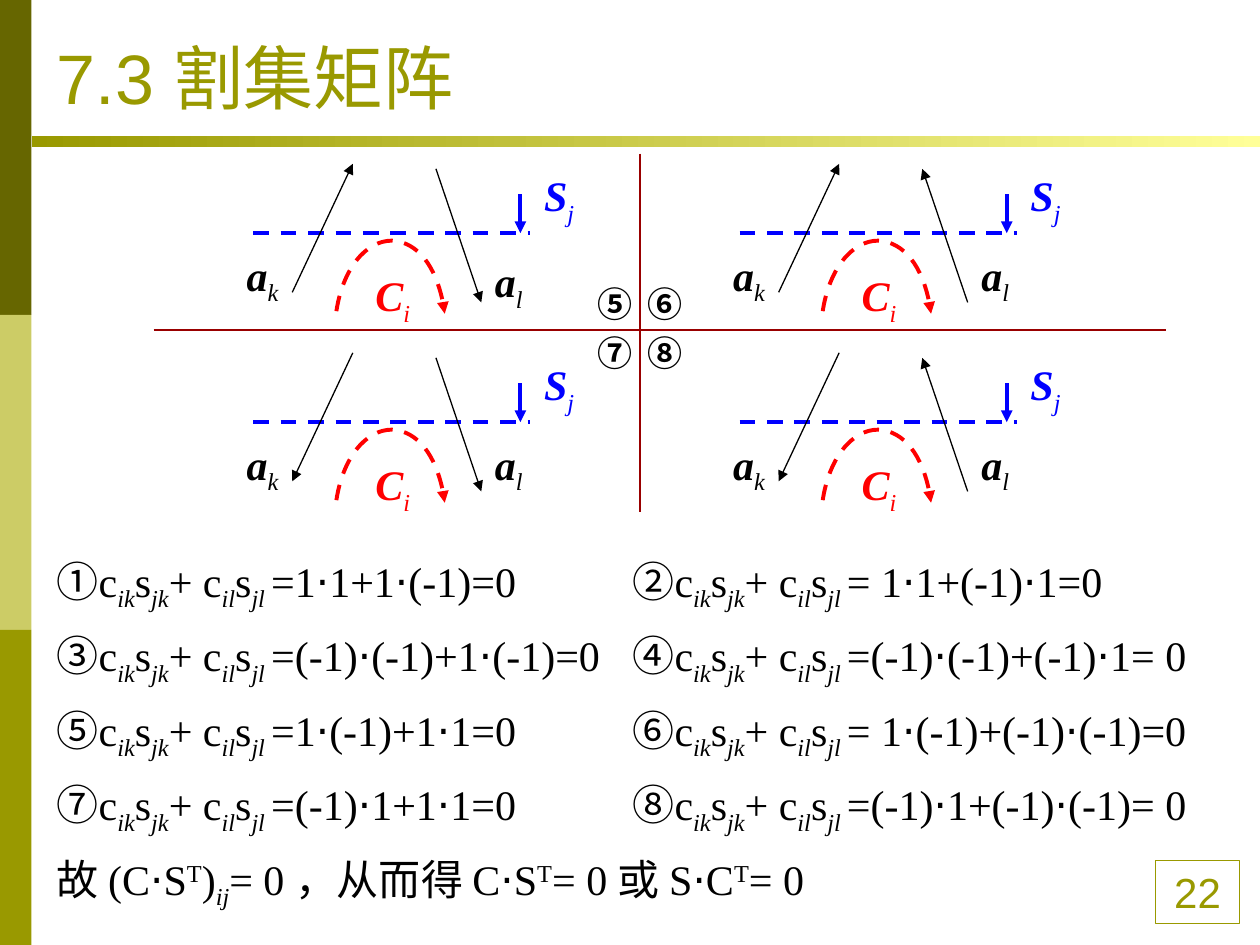
"""Build the cut-set matrix slide: four orientation panels and their equations."""
from dataclasses import dataclass
from itertools import groupby

from lxml.etree import SubElement
from pptx import Presentation
from pptx.dml.color import RGBColor
from pptx.enum.dml import MSO_LINE
from pptx.enum.shapes import MSO_CONNECTOR, MSO_SHAPE
from pptx.enum.text import MSO_ANCHOR, MSO_AUTO_SIZE, PP_ALIGN
from pptx.oxml.ns import qn
from pptx.util import Inches, Pt


@dataclass(frozen=True)
class Theme:
    olive: str = "999900"
    dark_olive: str = "666600"
    pale_olive: str = "CCCC66"
    pale_yellow: str = "FFFF99"
    black: str = "000000"
    blue: str = "0000FF"
    red: str = "FF0000"
    maroon: str = "990000"
    latin: str = "Arial"
    math: str = "Times New Roman"
    chinese: str = "Noto Sans CJK SC"
    title_size: int = 40
    text_size: int = 24
    number_size: int = 20
    thin: float = 0.75
    thick: float = 2.25


THEME = Theme()
PANEL_STEP_X, PANEL_STEP_Y = 3.86, 1.5
HANGING_INDENT = 0.07
CIRCLED = "①②③④⑤⑥⑦⑧"
PRODUCT_SUM = [("c", 0), ("ik", -25), ("s", 0), ("jk", -25),
               ("+ c", 0), ("il", -25), ("s", 0), ("jl ", -25)]
RESULTS = ["=1⋅1+1⋅(-1)=0\t\t", "= 1⋅1+(-1)⋅1=0",
           "=(-1)⋅(-1)+1⋅(-1)=0\t", "=(-1)⋅(-1)+(-1)⋅1= 0",
           "=1⋅(-1)+1⋅1=0\t\t", "= 1⋅(-1)+(-1)⋅(-1)=0",
           "=(-1)⋅1+1⋅1=0\t\t", "=(-1)⋅1+(-1)⋅(-1)= 0"]
CONCLUSION = [("故 (C⋅S", 0), ("T", 30), (")", 0), ("ij", -25),
              ("= 0 ，从而得 C⋅S", 0), ("T", 30), ("= 0 或 S⋅C", 0), ("T", 30), ("= 0", 0)]


def font_for(character):
    """Choose the font that carries a character of an equation."""
    if character in CIRCLED:
        return THEME.chinese
    return THEME.latin if character == "⋅" else THEME.math


def format_run(run, size, color, font, bold=False, italic=False, baseline=0):
    """Give a run its size, colour, fonts and baseline shift in percent."""
    run.font.size = Pt(size)
    run.font.color.rgb = RGBColor.from_string(color)
    run.font.name = font
    run.font.bold, run.font.italic = bold, italic
    properties = run.font._element
    SubElement(properties, qn("a:ea")).set("typeface", THEME.chinese)
    if baseline:
        properties.set("baseline", str(baseline * 1000))


def add_runs(paragraph, pieces):
    """Add pieces of text with their baselines, split wherever the font changes."""
    for text, baseline in pieces:
        for font, characters in groupby(text, font_for):
            run = paragraph.add_run()
            run.text = "".join(characters)
            format_run(run, THEME.text_size, THEME.black, font,
                       italic=baseline < 0, baseline=baseline)


def place(shape, left, top, width, height):
    """Move and size a shape, in inches."""
    shape.left, shape.top = Inches(left), Inches(top)
    shape.width, shape.height = Inches(width), Inches(height)


def add_rectangle(shapes, left, top, width, height, color=None):
    """Add a borderless rectangle without shadow."""
    shape = shapes.add_shape(MSO_SHAPE.RECTANGLE, Inches(left), Inches(top),
                             Inches(width), Inches(height))
    shape.shadow.inherit = False
    shape.line.fill.background()
    if color:
        shape.fill.solid()
        shape.fill.fore_color.rgb = RGBColor.from_string(color)
    return shape


def style_line(line, color, width, dashed=False, arrow=False):
    """Format a line, with an optional dash and an arrowhead at its end."""
    line.color.rgb = RGBColor.from_string(color)
    line.width = Pt(width)
    if dashed:
        line.dash_style = MSO_LINE.DASH
    if arrow:
        SubElement(line._get_or_add_ln(), qn("a:tailEnd")).set("type", "triangle")


def add_line(shapes, start, end, color, width, dashed=False, arrow=False):
    """Add a straight line between two points."""
    connector = shapes.add_connector(MSO_CONNECTOR.STRAIGHT,
                                     *(Inches(value) for value in (*start, *end)))
    style_line(connector.line, color, width, dashed, arrow)
    SubElement(connector._element.spPr, qn("a:effectLst"))


def add_loop_arc(shapes, points):
    """Add the dashed loop arrow; points after the first are Bezier triples."""
    start, *controls = [(Inches(x), Inches(y)) for x, y in points]
    builder = shapes.build_freeform(*start)
    builder.add_line_segments(controls, close=False)
    shape = builder.convert_to_shape()
    outline = next(shape._element.iter(qn("a:path")))
    segments = outline.findall(qn("a:lnTo"))
    for first in range(0, len(segments), 3):
        curve = SubElement(outline, qn("a:cubicBezTo"))
        for segment in segments[first:first + 3]:
            curve.append(segment[0])
            outline.remove(segment)
    shape.fill.background()
    shape.shadow.inherit = False
    style_line(shape.line, THEME.red, THEME.thick, dashed=True, arrow=True)


def add_label(shapes, left, top, width, text, color, subscript="", size=THEME.text_size):
    """Add a bold label with an optional italic subscript."""
    height = 0.56 if subscript else 0.44
    box = shapes.add_textbox(Inches(left), Inches(top), Inches(width), Inches(height))
    box.text_frame.word_wrap = False
    box.text_frame.auto_size = MSO_AUTO_SIZE.SHAPE_TO_FIT_TEXT
    paragraph = box.text_frame.paragraphs[0]
    paragraph.space_before = Pt(size / 4)
    paragraph.text = text
    font = THEME.math if subscript else THEME.chinese
    format_run(paragraph.runs[0], size, color, font, bold=True, italic=bool(subscript))
    if subscript:
        run = paragraph.add_run()
        run.text = subscript
        format_run(run, size, color, font, italic=True, baseline=-25)


def add_panel(slide, column, row, k_up, l_up, l_label_top=1.93):
    """Draw a cut set crossing a loop, with the directions of branches k and l."""
    shapes = slide.shapes.add_group_shape().shapes
    dx, dy = column * PANEL_STEP_X, row * PANEL_STEP_Y

    def at(x, y):
        return round(x + dx, 2), round(y + dy, 2)

    add_line(shapes, at(2.01, 1.85), at(4.21, 1.85), THEME.blue, THEME.thick, dashed=True)
    for bottom, top, points_up in ((at(2.32, 2.32), at(2.8, 1.3), k_up),
                                   (at(3.82, 2.4), at(3.46, 1.34), l_up)):
        start, end = (bottom, top) if points_up else (top, bottom)
        add_line(shapes, start, end, THEME.black, THEME.thin, arrow=True)
    add_loop_arc(shapes, [at(2.67, 2.47), at(2.72, 2.14), at(2.9, 1.91), at(3.11, 1.91),
                          at(3.32, 1.92), at(3.49, 2.16), at(3.53, 2.49)])
    add_line(shapes, at(4.13, 1.54), at(4.13, 1.85), THEME.blue, THEME.thick, arrow=True)
    for x, y, width, text, subscript, color in (
            (1.86, 1.93, 0.45, "a", "k", THEME.black),
            (3.83, l_label_top, 0.42, "a", "l", THEME.black),
            (2.88, 2.09, 0.48, "C", "i", THEME.red),
            (4.22, 1.3, 0.44, "S", "j", THEME.blue)):
        add_label(shapes, *at(x, y), width, text, color, subscript)


def add_axes(slide):
    """Draw the cross between the panels and number its quadrants."""
    shapes = slide.shapes.add_group_shape().shapes
    add_line(shapes, (1.22, 2.62), (9.25, 2.62), THEME.maroon, THEME.thin)
    add_line(shapes, (5.08, 1.22), (5.08, 4.06), THEME.maroon, THEME.thin)
    for index, number in enumerate(CIRCLED[4:]):
        row, column = divmod(index, 2)
        add_label(shapes, 4.64 + 0.4 * column, 2.19 + 0.39 * row, 0.48, number,
                  THEME.black, size=THEME.number_size)


def add_frame(slide):
    """Draw the side bars, the gradient rule and the page number."""
    for index, color in enumerate((THEME.dark_olive, THEME.pale_olive, THEME.olive)):
        add_rectangle(slide.shapes, 0, 2.5 * index, 0.25, 2.5, color)
    rule = add_rectangle(slide.shapes, 0.25, 1.08, 9.75, 0.09)
    rule.fill.gradient()
    rule.fill.gradient_angle = 0
    for stop, color in zip(rule.fill.gradient_stops, (THEME.olive, THEME.pale_yellow)):
        stop.color.rgb = RGBColor.from_string(color)
    page = add_rectangle(slide.shapes, 9.17, 6.83, 0.67, 0.5)
    page.fill.background()
    style_line(page.line, THEME.olive, THEME.thin)
    page.text_frame.text = "22"
    paragraph = page.text_frame.paragraphs[0]
    paragraph.alignment = PP_ALIGN.CENTER
    format_run(paragraph.runs[0], THEME.text_size, THEME.olive, THEME.latin)


def fill_title(title):
    """Place and write the title."""
    place(title, 0.35, 0.21, 9, 0.78)
    title.text_frame.text = "7.3 割集矩阵"
    title.text_frame.vertical_anchor = MSO_ANCHOR.BOTTOM
    title.text_frame.auto_size = MSO_AUTO_SIZE.NONE
    paragraph = title.text_frame.paragraphs[0]
    paragraph.alignment = PP_ALIGN.LEFT
    format_run(paragraph.runs[0], THEME.title_size, THEME.olive, THEME.latin)


def fill_equations(body):
    """Write the equations two to a line, then the conclusion."""
    place(body, 0.35, 4.22, 9.37, 4.62)
    frame = body.text_frame
    frame.auto_size = MSO_AUTO_SIZE.NONE
    equations = [[(number, 0), *PRODUCT_SUM, (result, 0)]
                 for number, result in zip(CIRCLED, RESULTS)]
    lines = [left + right for left, right in zip(equations[::2], equations[1::2])]
    for index, pieces in enumerate([*lines, CONCLUSION]):
        paragraph = frame.add_paragraph() if index else frame.paragraphs[0]
        paragraph.line_spacing = 1.3
        paragraph.space_before = Pt(0)
        properties = paragraph._p.get_or_add_pPr()
        properties.set("marL", str(Inches(HANGING_INDENT)))
        properties.set("indent", str(-Inches(HANGING_INDENT)))
        SubElement(properties, qn("a:buNone"))
        add_runs(paragraph, pieces)


def main():
    """Build and save the slide."""
    presentation = Presentation()
    presentation.slide_width, presentation.slide_height = Inches(10), Inches(7.5)
    slide = presentation.slides.add_slide(presentation.slide_layouts[1])
    add_frame(slide)
    fill_title(slide.shapes.title)
    fill_equations(slide.placeholders[1])
    add_panel(slide, 0, 0, k_up=True, l_up=False, l_label_top=1.98)
    add_panel(slide, 1, 0, k_up=True, l_up=True)
    add_panel(slide, 0, 1, k_up=False, l_up=False)
    add_panel(slide, 1, 1, k_up=False, l_up=True)
    add_axes(slide)
    presentation.save("out.pptx")


if __name__ == "__main__":
    main()
